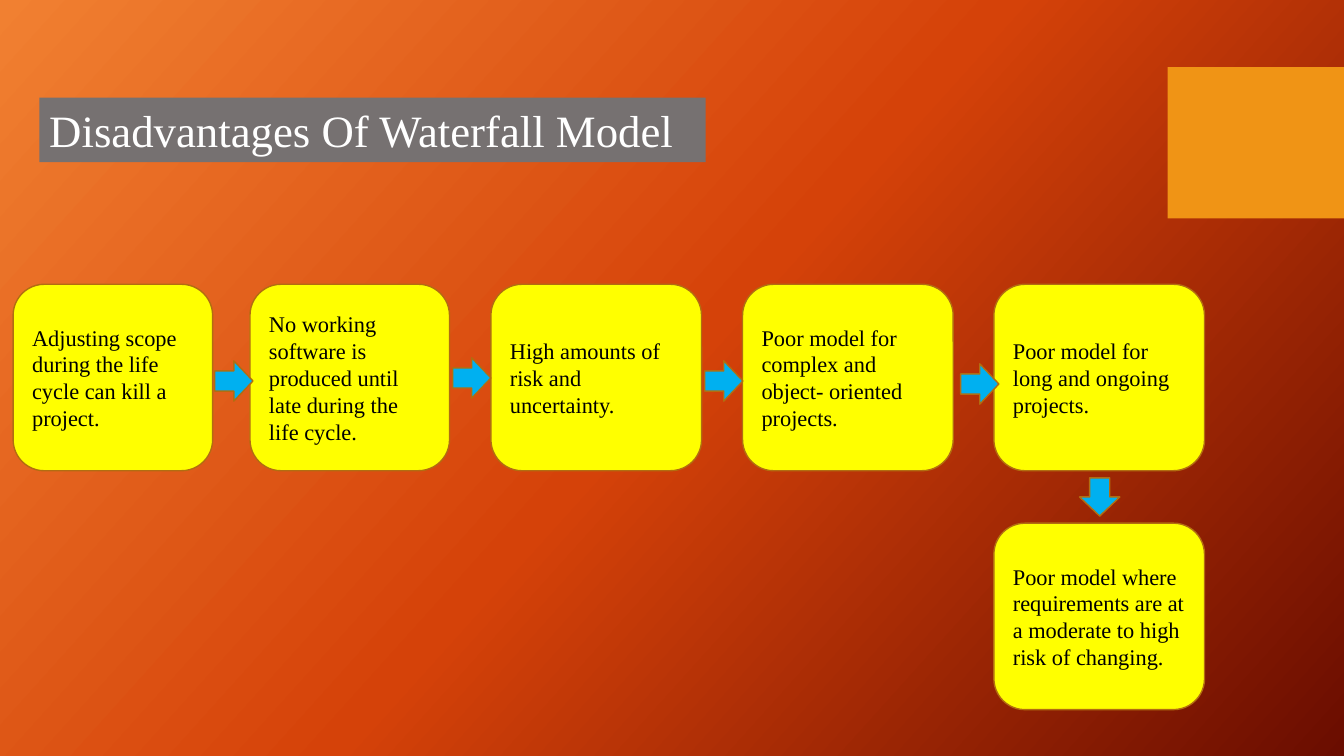
from copy import deepcopy
from pptx import Presentation
from pptx.dml.color import RGBColor
from pptx.enum.shapes import MSO_SHAPE as Shape
from pptx.enum.text import MSO_ANCHOR as Anchor, MSO_AUTO_SIZE as AutoSize, PP_ALIGN as Align
from pptx.oxml.ns import qn
from pptx.util import Pt


def color(value):
    return RGBColor.from_string(value)


class FlowSlide:
    font = "Times New Roman"
    outline = "B26D10"
    box_fill = "FFFF00"
    arrow_fill = "00B0F0"
    box_height = 133.2
    arrow_width, arrow_height = 27.36, 28.8

    def __init__(self, deck):
        self.page = deck.slides.add_slide(deck.slide_layouts[6])

    def background(self, stops, angle):
        fill = self.page.background.fill
        fill.gradient()
        fill.gradient_angle = 360 - angle
        first = next(self.page.element.iter(qn("a:gs")))
        first.addnext(deepcopy(first))
        for stop, (position, value) in zip(fill.gradient_stops, stops):
            stop.position = position
            stop.color.rgb = color(value)

    def shape(self, kind, left, top, width, height, fill, outline=None):
        shape = self.page.shapes.add_shape(kind, Pt(left), Pt(top), Pt(width), Pt(height))
        shape.shadow.inherit = False
        shape.fill.solid()
        shape.fill.fore_color.rgb = color(fill)
        if outline:
            shape.line.color.rgb = color(outline)
            shape.line.width = Pt(1)
        else:
            shape.line.fill.background()
        return shape

    def label(self, shape, text, size, ink, anchor):
        frame = shape.text_frame
        frame.text = text
        frame.word_wrap = True
        frame.vertical_anchor = anchor
        para = frame.paragraphs[0]
        para.alignment = Align.LEFT
        for span in para.runs:
            span.font.name = self.font
            span.font.size = Pt(size)
            span.font.color.rgb = color(ink)

    def title(self, text, left, top, width, height):
        bar = self.shape(Shape.RECTANGLE, left, top, width, height, "767171")
        self.label(bar, text, 32, "FFFFFF", Anchor.TOP)
        bar.text_frame.auto_size = AutoSize.SHAPE_TO_FIT_TEXT

    def box(self, text, left, top, width):
        box = self.shape(Shape.ROUNDED_RECTANGLE, left, top, width, self.box_height,
                         self.box_fill, self.outline)
        self.label(box, text, 16, "000000", Anchor.MIDDLE)

    def arrow(self, left, top, rotation=0):
        arrow = self.shape(Shape.RIGHT_ARROW, left, top, self.arrow_width, self.arrow_height,
                           self.arrow_fill, self.outline)
        arrow.rotation = rotation


NARROW, WIDE = 142.56, 150.48
ROW_TOP, LAST_TOP = 203.04, 373.68
LAST_LEFT = 709.92

BOXES = [
    ("Adjusting scope during the life cycle can kill a project.", 9.36, ROW_TOP, NARROW),
    ("No working software is produced until late during the life cycle.", 178.56, ROW_TOP, NARROW),
    ("High amounts of risk and uncertainty.", 350.64, ROW_TOP, WIDE),
    ("Poor model for complex and object- oriented projects.", 530.4, ROW_TOP, WIDE),
    ("Poor model for long and ongoing projects.", LAST_LEFT, ROW_TOP, WIDE),
    ("Poor model where requirements are at a moderate to high risk of changing.",
     LAST_LEFT, LAST_TOP, WIDE),
]
ARROWS = [
    (153.36, 257.76),
    (323.28, 255.6),
    (503.28, 257.76),
    (686.16, 259.92),
    (771.84, 340.56, 90),
]

deck = Presentation()
deck.slide_width, deck.slide_height = Pt(960), Pt(540)

slide = FlowSlide(deck)
slide.background([(0, "F18031"), (0.5, "D54209"), (1, "6A0D00")], 42)
slide.shape(Shape.RECTANGLE, 834, 48, 126, 108, "F09415")
slide.title("Disadvantages Of Waterfall Model", 28.08, 69.84, 475.92, 46.08)
for box in BOXES:
    slide.box(*box)
for arrow in ARROWS:
    slide.arrow(*arrow)

deck.save("out.pptx")
